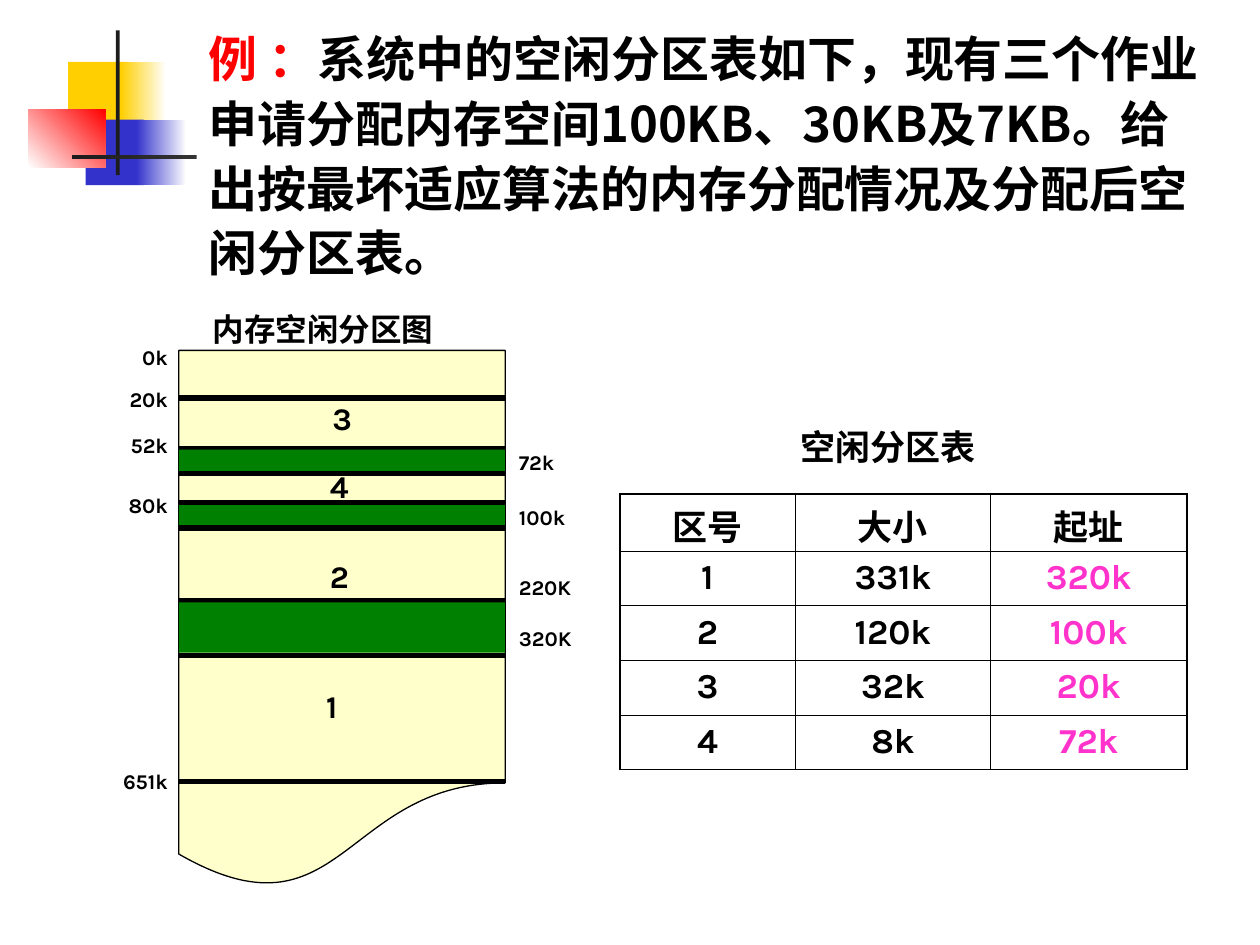
from typing import NamedTuple

from lxml.etree import SubElement
from pptx import Presentation
from pptx.dml.color import RGBColor
from pptx.enum.shapes import MSO_CONNECTOR, MSO_SHAPE
from pptx.enum.text import MSO_ANCHOR, PP_ALIGN
from pptx.oxml.ns import qn
from pptx.util import Pt

BLACK = RGBColor(0x00, 0x00, 0x00)
WHITE = RGBColor(0xFF, 0xFF, 0xFF)
RED = RGBColor(0xFF, 0x00, 0x00)
YELLOW = RGBColor(0xFF, 0xCF, 0x01)
BLUE = RGBColor(0x33, 0x33, 0xCC)
CHARCOAL = RGBColor(0x1C, 0x1C, 0x1C)
CREAM = RGBColor(0xFF, 0xFF, 0xCC)
GREEN = RGBColor(0x00, 0x80, 0x00)
PINK = RGBColor(0xFF, 0x33, 0xCC)
KARLA = "Karla"
NOTO = "Noto Sans CJK SC"
TIMES = "Times New Roman"


class Box(NamedTuple):
    left: float
    top: float
    width: float
    height: float


class Block(NamedTuple):
    box: Box
    start: RGBColor
    end: RGBColor | None = None
    angle: float = 0


class Label(NamedTuple):
    text: str
    gap: float = 0


class Caption(NamedTuple):
    text: str
    box: Box
    size: float = 18
    font: str = KARLA
    align: PP_ALIGN = PP_ALIGN.LEFT
    wrap: bool = False


DECORATION = [
    Block(Box(38.9, 35.3, 34.6, 37.4), YELLOW),
    Block(Box(69.1, 35.3, 25.9, 37.4), YELLOW, WHITE),
    Block(Box(49, 68.4, 33.1, 37.4), BLUE),
    Block(Box(77.8, 68.4, 28.8, 37.4), BLUE, WHITE),
    Block(Box(16.2, 62.6, 43.9, 33.1), WHITE, RED, 45),
    Block(Box(66.2, 17.3, 2.2, 82.8), CHARCOAL),
    Block(Box(41, 88.6, 648, 2.2), CHARCOAL, WHITE),
]
MEMORY_LEFT, MEMORY_WIDTH = 102.3, 186.3
LINES_BELOW = [446.4, 227.5, 256.3, 287.3, 374.4, 343.4]
USED_BANDS = [(257, 13), (288.7, 12.2), (344.2, 28.8)]
LINES_ABOVE = [270.7, 301.7]
LEFT_LABELS = [Label("0k"), Label("20k", 8.5), Label("52k", 9.8),
               Label("80k", 18.8), Label("651k", 141.2)]
RIGHT_LABELS = [Label("72k"), Label("100k", 15.4), Label("220K", 24),
                Label("320K", 13.1)]
CAPTIONS = [
    Caption("空闲分区表", Box(396.7, 239.8, 221.8, 31.7), 20, KARLA,
            PP_ALIGN.CENTER, True),
    Caption("内存空闲分区图", Box(114.5, 173.5, 159.8, 28.8), 18, TIMES, wrap=True),
    Caption("3", Box(182.9, 224.6, 24.5, 28.8)),
    Caption("4", Box(181.4, 263.5, 24.5, 28.8)),
    Caption("2", Box(181.4, 314.6, 24.5, 28.8)),
    Caption("1", Box(179.3, 388.8, 24.5, 28.8)),
]
FREE_TABLE = [
    ("区号", "大小", "起址"),
    ("1", "331k", "320k"),
    ("2", "120k", "100k"),
    ("3", "32k", "20k"),
    ("4", "8k", "72k"),
]
COLUMN_WIDTHS = (100.2, 111.8, 112)
ROW_HEIGHT = 31.25


def pts(box: Box) -> list:
    return [Pt(v) for v in box]


def set_font(p, size: float, name: str, color: RGBColor | None = BLACK) -> None:
    p.font.size, p.font.name, p.font.bold = Pt(size), name, True
    if color is not None:
        p.font.color.rgb = color


def draw_block(s, block: Block, kind=MSO_SHAPE.RECTANGLE):
    sp = s.shapes.add_shape(kind, *pts(block.box))
    sp.shadow.inherit = False
    sp.line.fill.background()
    if block.end is None:
        sp.fill.solid()
        sp.fill.fore_color.rgb = block.start
    else:
        sp.fill.gradient()
        sp.fill.gradient_angle = block.angle
        for stop, color in zip(sp.fill.gradient_stops, (block.start, block.end)):
            stop.color.rgb = color
    return sp


def draw_boundary(s, y: float) -> None:
    line = s.shapes.add_connector(MSO_CONNECTOR.STRAIGHT, Pt(MEMORY_LEFT), Pt(y),
                                  Pt(MEMORY_LEFT + MEMORY_WIDTH), Pt(y))
    line.line.width = Pt(3)
    line.line.color.rgb = BLACK
    SubElement(line._element.spPr, qn("a:effectLst"))


def draw_caption(s, caption: Caption) -> None:
    tf = s.shapes.add_textbox(*pts(caption.box)).text_frame
    tf.word_wrap = caption.wrap
    p = tf.paragraphs[0]
    p.text, p.alignment = caption.text, caption.align
    set_font(p, caption.size, caption.font)


def draw_labels(s, labels: list[Label], box: Box, align: PP_ALIGN,
                margin_top: float = 3.6) -> None:
    tf = s.shapes.add_textbox(*pts(box)).text_frame
    tf.word_wrap = True
    tf.margin_top = Pt(margin_top)
    for i, label in enumerate(labels):
        p = tf.add_paragraph() if i else tf.paragraphs[0]
        p.text, p.alignment, p.line_spacing = label.text, align, Pt(16)
        if label.gap:
            p.space_before = Pt(label.gap)
        set_font(p, 12, KARLA)


def draw_title(s) -> None:
    sp = draw_block(s, Block(Box(112.3, 9.4, 581.8, 155.5), WHITE))
    tf = sp.text_frame
    tf.word_wrap = True
    tf.vertical_anchor = MSO_ANCHOR.TOP
    p = tf.paragraphs[0]
    p.alignment, p.line_spacing = PP_ALIGN.LEFT, Pt(37)
    set_font(p, 28, NOTO, None)
    for text, color in (
        ("例 ：", RED),
        ("系统中的空闲分区表如下，现有三个作业申请分配内存空间100KB、30KB及7KB。"
         "给出按最坏适应算法的内存分配情况及分配后空闲分区表。", BLACK),
    ):
        r = p.add_run()
        r.text = text
        r.font.color.rgb = color


def set_border(cell, side: str, width: float) -> None:
    ln = SubElement(cell._tc.get_or_add_tcPr(), qn(f"a:{side}"), w=str(Pt(width)))
    fill = SubElement(ln, qn("a:solidFill"))
    SubElement(fill, qn("a:srgbClr"), val=str(BLACK))


def draw_table(s) -> None:
    rows, cols = len(FREE_TABLE), len(COLUMN_WIDTHS)
    box = Box(354.2, 282.2, sum(COLUMN_WIDTHS), rows * ROW_HEIGHT)
    table = s.shapes.add_table(rows, cols, *pts(box)).table
    for column, width in zip(table.columns, COLUMN_WIDTHS):
        column.width = Pt(width)
    for i, texts in enumerate(FREE_TABLE):
        table.rows[i].height = Pt(ROW_HEIGHT)
        for j, text in enumerate(texts):
            cell = table.cell(i, j)
            cell.margin_bottom = Pt(0)
            p = cell.text_frame.paragraphs[0]
            p.text, p.alignment = text, PP_ALIGN.CENTER
            set_font(p, 20, KARLA, PINK if i and j == cols - 1 else BLACK)
            outer = {"lnL": j == 0, "lnR": j == cols - 1,
                     "lnT": i == 0, "lnB": i == rows - 1}
            for side, on_edge in outer.items():
                set_border(cell, side, 1.08 if on_edge else 0.45)
            cell.fill.background()


def draw_memory(s) -> None:
    memory = draw_block(s, Block(Box(102.2, 200.2, 186.5, 308.2), CREAM),
                        MSO_SHAPE.FLOWCHART_DOCUMENT)
    memory.line.color.rgb = BLACK
    memory.line.width = Pt(0.75)
    for y in LINES_BELOW:
        draw_boundary(s, y)
    for top, height in USED_BANDS:
        draw_block(s, Block(Box(MEMORY_LEFT, top, MEMORY_WIDTH, height), GREEN))
    for y in LINES_ABOVE:
        draw_boundary(s, y)
    draw_labels(s, LEFT_LABELS, Box(25.2, 191.5, 77.8, 265.7), PP_ALIGN.RIGHT)
    draw_labels(s, RIGHT_LABELS, Box(289.4, 221.8, 56.9, 168.5), PP_ALIGN.LEFT, 33.6)


def main() -> None:
    prs = Presentation()
    prs.slide_width, prs.slide_height = Pt(720), Pt(540)
    s = prs.slides.add_slide(prs.slide_layouts[6])
    for block in DECORATION:
        draw_block(s, block)
    draw_table(s)
    draw_title(s)
    draw_memory(s)
    for caption in CAPTIONS:
        draw_caption(s, caption)
    prs.save("out.pptx")


if __name__ == "__main__":
    main()
